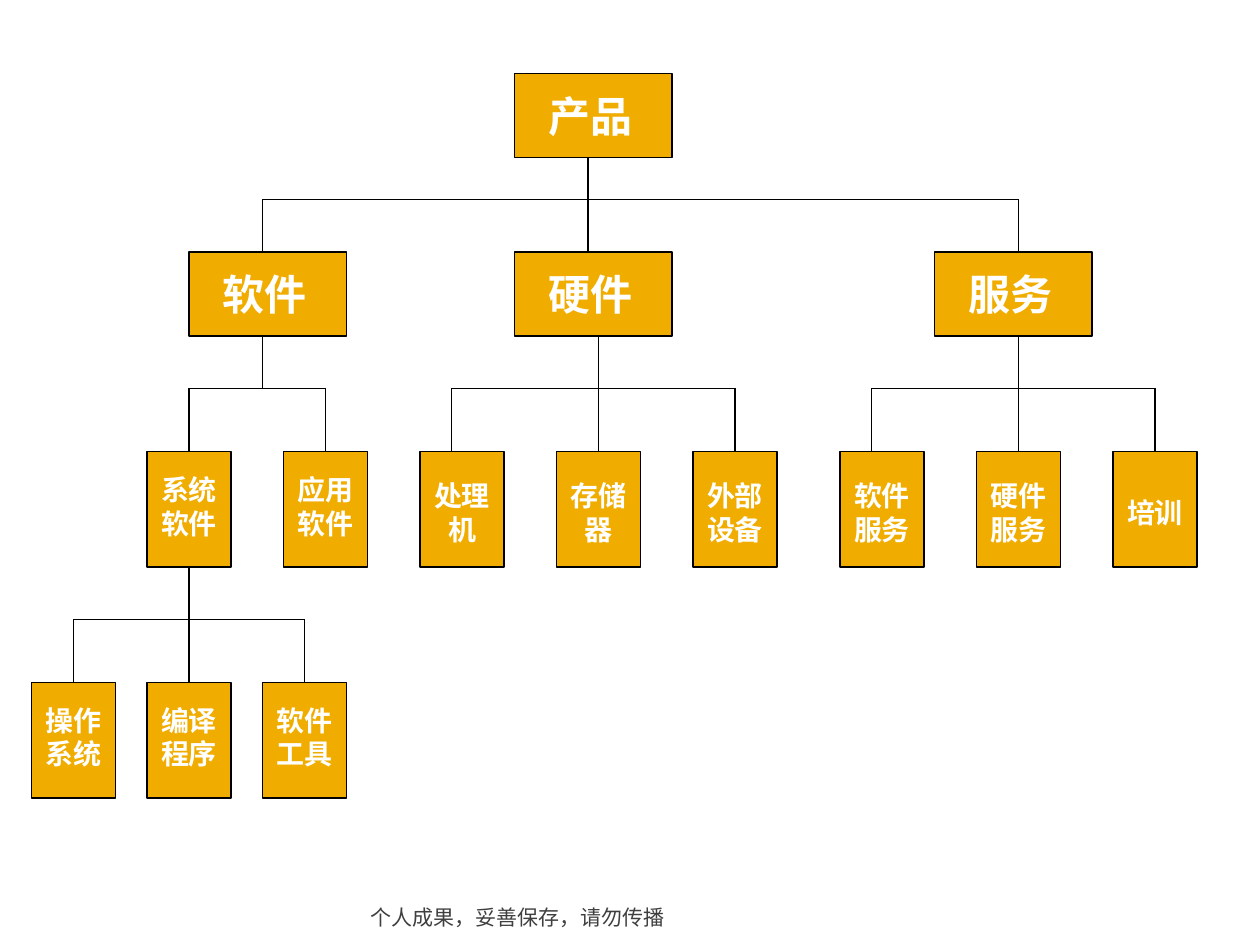
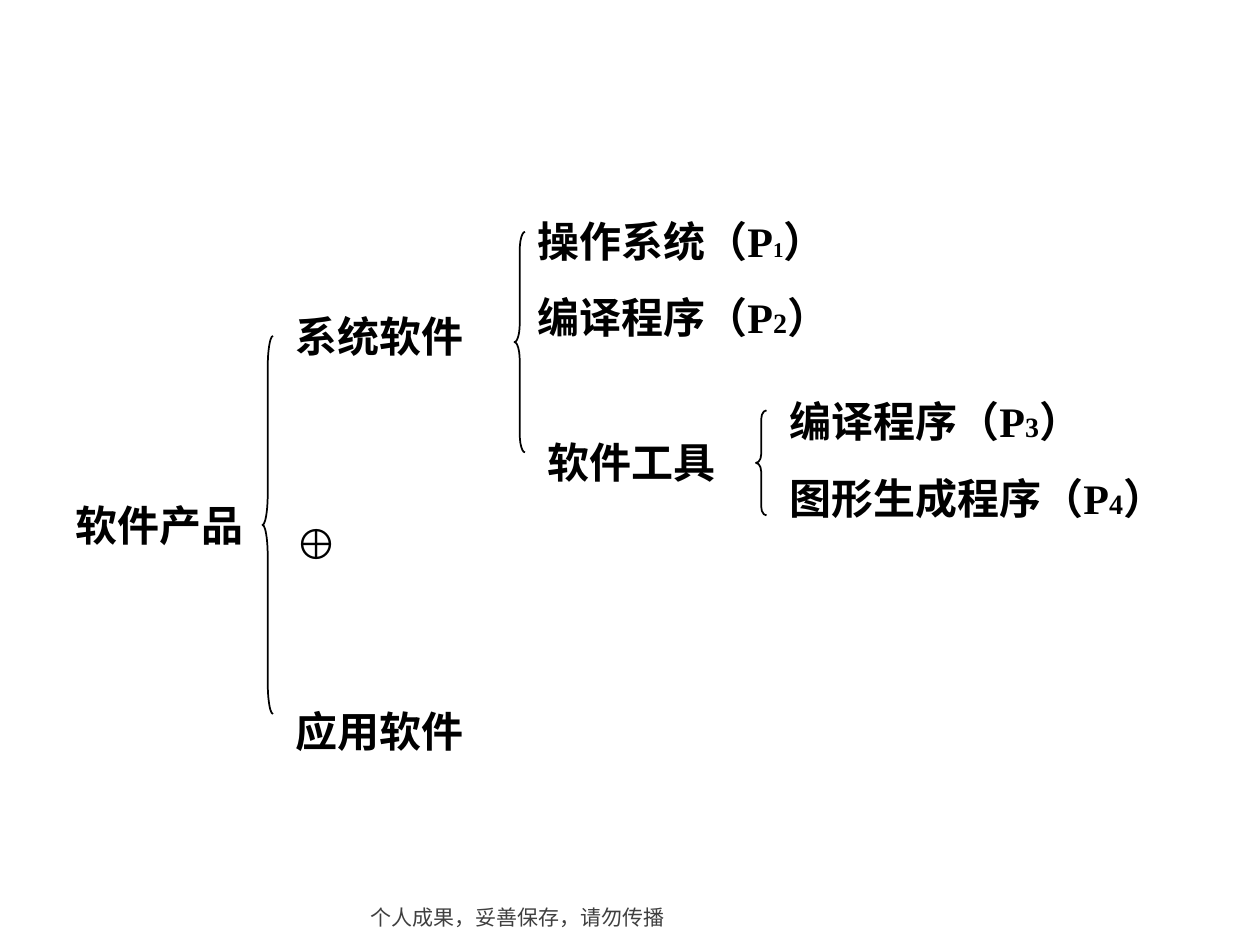
from pptx import Presentation
from pptx.dml.color import RGBColor
from pptx.enum.shapes import MSO_CONNECTOR, MSO_SHAPE
from pptx.enum.text import MSO_ANCHOR, PP_ALIGN
from pptx.oxml.ns import qn
from pptx.util import Pt
from lxml import etree

RECT = MSO_SHAPE.RECTANGLE
BRACE = MSO_SHAPE.LEFT_BRACE
LINE = MSO_CONNECTOR.STRAIGHT
TOP, BOTTOM = MSO_ANCHOR.TOP, MSO_ANCHOR.BOTTOM
LEFT, CENTER = PP_ALIGN.LEFT, PP_ALIGN.CENTER
COLORS = {"gold": "F0AD00", "black": "000000", "white": "FFFFFF", "gray": "3F3F3F"}
SERIF, SANS, NOTE = "Times New Roman", "Arial", "Cabin"
BIG, SMALL = 24, 16
BLANK = 6


def color(name):
    return RGBColor.from_string(COLORS[name])


def add_run(para, text, size=BIG, hue="black", face=SERIF, bold=True):
    run = para.add_run()
    run.text = text
    font = run.font
    font.size, font.name, font.bold = Pt(size), face, bold
    font.color.rgb = color(hue)


def set_frame(frame, insets, anchor=TOP):
    frame.word_wrap = True
    frame.vertical_anchor = anchor
    sides = [Pt(inset) for inset in insets]
    frame.margin_left, frame.margin_top, frame.margin_right, frame.margin_bottom = sides


def add_label(slide, x, y, width, height, lines):
    box = slide.shapes.add_textbox(Pt(x), Pt(y), Pt(width), Pt(height))
    frame = box.text_frame
    set_frame(frame, (7.2, 3.6, 7.2, 3.6))
    for i, (gap, runs) in enumerate(lines):
        para = frame.add_paragraph() if i else frame.paragraphs[0]
        if i:
            para.space_before = Pt(gap)
        for text, style in runs:
            add_run(para, text, **style)


def add_footer(slide):
    box = slide.shapes.add_textbox(Pt(208), Pt(509.8), Pt(433.4), Pt(21.6))
    set_frame(box.text_frame, (3.6, 3.6, 3.6, 0), BOTTOM)
    add_run(box.text_frame.paragraphs[0], "个人成果，妥善保存，请勿传播", 12, "gray", NOTE, False)


def set_line(shape):
    shape.line.color.rgb = color("black")
    shape.line.width = Pt(1)


def add_node(slide, joints, text, x, y, width, height, size, insets, align):
    node = slide.shapes.add_shape(RECT, Pt(x), Pt(y), Pt(width), Pt(height))
    node.shadow.inherit = False
    node.fill.solid()
    node.fill.fore_color.rgb = color("gold")
    set_line(node)
    set_frame(node.text_frame, insets)
    para = node.text_frame.paragraphs[0]
    para.alignment = align
    add_run(para, text, size, "white")
    mid = x + width / 2
    joints[mid, y] = node, 0
    joints[mid, y + height] = node, 2


def add_major(slide, joints, text, x, y):
    add_node(slide, joints, text, x, y, 90, 48, BIG, (19.2, 9.6, 0, 0), LEFT)


def add_minor(slide, joints, text, x, y, top):
    add_node(slide, joints, text, x, y, 48, 66, SMALL, (7.2, top, 7.2, 0), CENTER)


def add_link(slide, joints, start, end):
    link = slide.shapes.add_connector(LINE, *(Pt(v) for v in start + end))
    set_line(link)
    etree.SubElement(link._element.spPr, qn("a:effectLst"))
    if start in joints:
        link.begin_connect(*joints[start])
    if end in joints:
        link.end_connect(*joints[end])


def add_fork(slide, joints, trunk, left, right, top, bar, base, middle=True):
    add_link(slide, joints, (left, bar), (right, bar))
    add_link(slide, joints, (trunk, top), (trunk, base if middle else bar))
    for x in (left, right):
        add_link(slide, joints, (x, bar), (x, base))


def add_brace(slide, x, y, height):
    width = 6
    brace = slide.shapes.add_shape(BRACE, Pt(x), Pt(y), Pt(width), Pt(height))
    brace.shadow.inherit = False
    brace.fill.background()
    set_line(brace)
    brace.adjustments[0] = height / 12 / width


def program(name, digit, size=SMALL):
    return 15, [(f"{name}（P", {}), (digit, {"size": size}), ("）", {})]


def word(text, gap=0, **style):
    return gap, [(text, style)]


def build_tree(slide):
    joints = {}
    add_major(slide, joints, "产品", 294, 42)
    for text, x in (("软件", 108), ("硬件", 294), ("服务", 534)):
        add_major(slide, joints, text, x, 144)

    groups = (
        (84, 258, 78, 12, ("系统软件", "应用软件")),
        (240, 258, 78, 15.6, ("处理机", "存储器", "外部设备")),
        (480, 258, 78, 15.6, ("软件服务", "硬件服务")),
        (636, 258, 78, 25, ("培训",)),
        (18, 390, 66, 12, ("操作系统", "编译程序", "软件工具")),
    )
    for x, y, step, top, names in groups:
        for i, name in enumerate(names):
            add_minor(slide, joints, name, x + i * step, y, top)

    add_fork(slide, joints, 336, 150, 582, 90, 114, 144)
    add_fork(slide, joints, 342, 258, 420, 192, 222, 258)
    add_fork(slide, joints, 582, 498, 660, 192, 222, 258)
    add_fork(slide, joints, 150, 108, 186, 192, 222, 258, False)
    add_fork(slide, joints, 108, 42, 174, 324, 354, 390)


def build_list(slide):
    add_label(slide, 36, 282, 120, 36, [word("软件产品")])
    add_label(slide, 162, 174, 144, 266.4, [
        word("系统软件"),
        word("⊕", 89.5, face=SANS),
        word("应用软件", 78.8),
    ])
    add_label(slide, 300, 119.5, 198, 80, [
        program("操作系统", "1", 12),
        program("编译程序", "2"),
    ])
    add_label(slide, 306, 246, 138, 36, [word("软件工具")])
    add_label(slide, 444, 222.5, 276, 80, [
        program("编译程序", "3"),
        program("图形生成程序", "4"),
    ])
    for x, y, height in ((150, 192, 216), (294, 132.5, 126), (432, 234.5, 60)):
        add_brace(slide, x, y, height)


def main():
    deck = Presentation()
    deck.slide_width, deck.slide_height = Pt(720), Pt(540)
    for build in (build_tree, build_list):
        slide = deck.slides.add_slide(deck.slide_layouts[BLANK])
        add_footer(slide)
        build(slide)
    deck.save("out.pptx")


if __name__ == "__main__":
    main()
